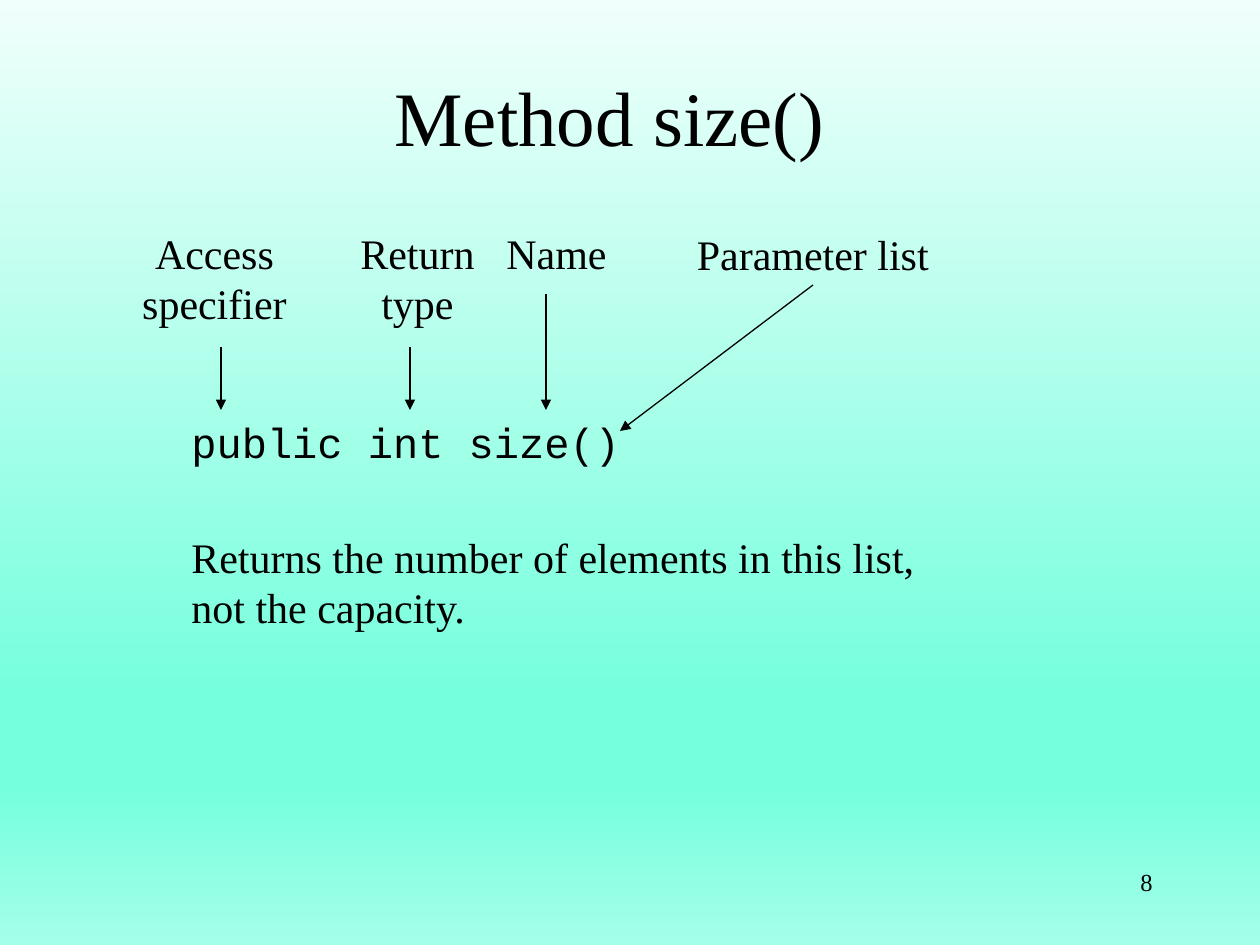
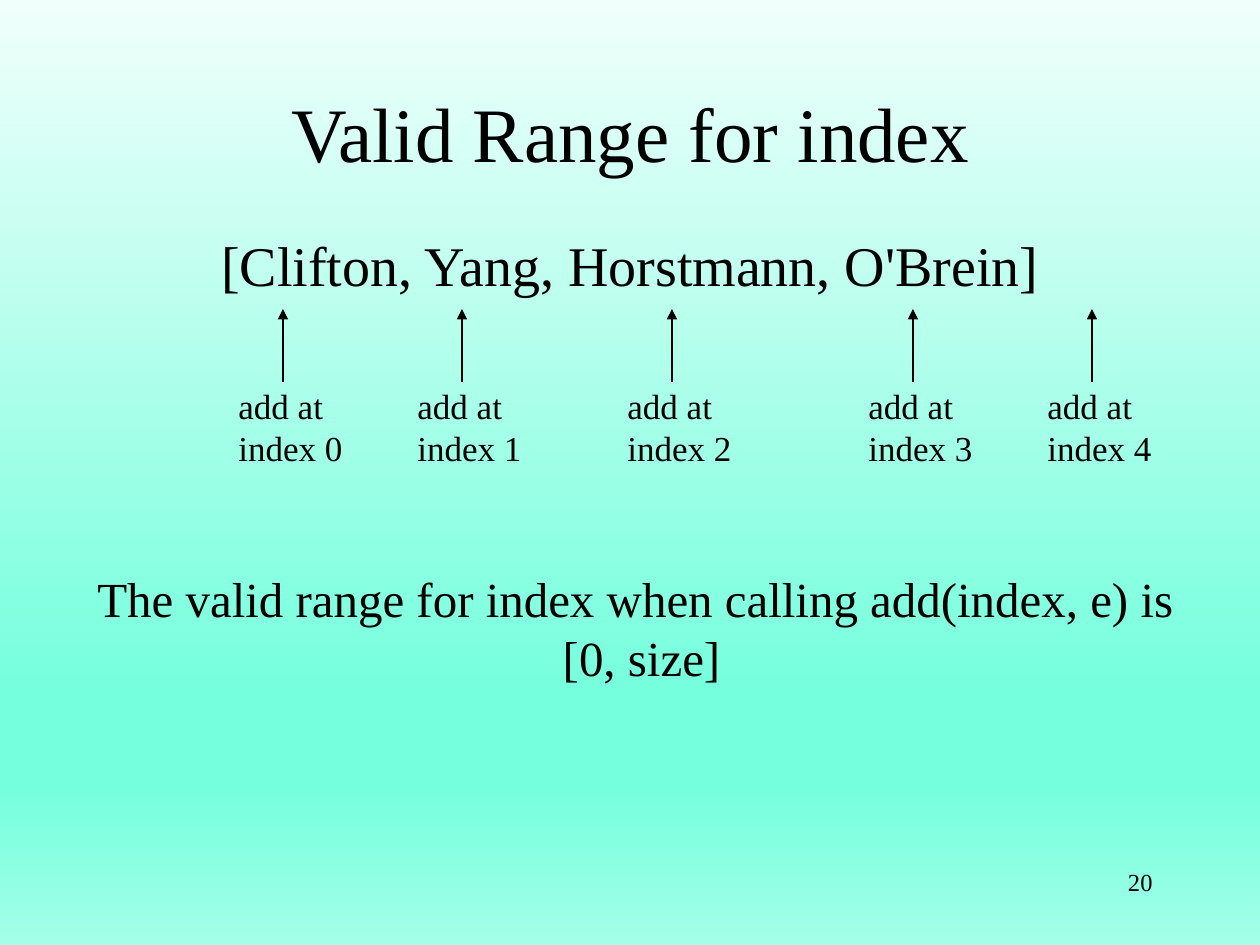
"""Build two slides on list methods: size() and the valid index range for add."""
import copy

from lxml import etree
from pptx import Presentation
from pptx import util as u
from pptx.dml.color import RGBColor
from pptx.enum import shapes, text
from pptx.oxml.ns import qn

PX = 914400 / 126
BLACK = RGBColor(0x00, 0x00, 0x00)
MINT_PALE = RGBColor(0xF0, 0xFF, 0xFB)
MINT = RGBColor(0x75, 0xFF, 0xDD)
MINT_LIGHT = RGBColor(0xA3, 0xFF, 0xE8)
GRADIENT = [(0, MINT_PALE), (0.74, MINT), (0.83, MINT), (1, MINT_LIGHT)]
SERIF, MONO = "Times New Roman", "Courier New"
LEFT, CENTER, RIGHT = text.PP_ALIGN.LEFT, text.PP_ALIGN.CENTER, text.PP_ALIGN.RIGHT
NUMBER_BOX = (903, 861, 262, 63)


def add_text(s, box, lines, size, align=LEFT, wrap=True, anchor=text.MSO_ANCHOR.TOP):
    sp = s.shapes.add_textbox(*(u.Emu(round(v * PX)) for v in box))
    tf = sp.text_frame
    fit = text.MSO_AUTO_SIZE.NONE if wrap else text.MSO_AUTO_SIZE.SHAPE_TO_FIT_TEXT
    for name, value in {"word_wrap": wrap, "auto_size": fit, "vertical_anchor": anchor}.items():
        setattr(tf, name, value)
    tf.text = "\n".join(lines)
    for p in tf.paragraphs:
        p.alignment = align
        for r in p.runs:
            for name, value in {"name": SERIF, "size": u.Pt(size)}.items():
                setattr(r.font, name, value)
            r.font.color.rgb = BLACK
    return sp


def add_arrow(s, *ends):
    ln = s.shapes.add_connector(
        shapes.MSO_CONNECTOR.STRAIGHT, *(u.Emu(round(v * PX)) for v in ends))
    ln.line.color.rgb = BLACK
    ln.line.width = u.Pt(0.75)
    etree.SubElement(ln.line._get_or_add_ln(), qn("a:tailEnd"), type="triangle")
    etree.SubElement(ln._element.spPr, qn("a:effectLst"))
    return ln


prs = Presentation()
prs.slide_width, prs.slide_height = u.Emu(round(1260 * PX)), u.Emu(round(945 * PX))

fill = prs.slide_master.background.fill
fill.gradient()
fill.gradient_angle = 270
stops = prs.slide_master._element.xpath(".//p:bg//a:gsLst")[0]
for _ in range(len(GRADIENT) - len(stops)):
    stops.append(copy.deepcopy(stops[0]))
for stop, (position, color) in zip(fill.gradient_stops, GRADIENT):
    stop.position = position
    stop.color.rgb = color

slides = []
for title, title_box, number in [
    ("Method size()", (53, 32, 1113, 168), "8"),
    ("Valid Range for index", (95, 53, 1071, 158), "20"),
]:
    s = prs.slides.add_slide(prs.slide_layouts[6])
    add_text(s, title_box, [title], 44, CENTER, anchor=text.MSO_ANCHOR.MIDDLE)
    add_text(s, NUMBER_BOX, [number], 14, RIGHT)
    slides.append(s)
size_slide, range_slide = slides

body = add_text(size_slide, (179, 410, 1040, 325), [
    "public int size()",
    "Returns the number of elements in this list,\vnot the capacity.",
], 24)
signature, description = body.text_frame.paragraphs
signature.runs[0].font.name = MONO
signature.space_before = u.Pt(4.8)
description.space_before = u.Pt(37)

for box, lines, align, arrow in [
    ((129, 221, 171, 115), ["Access", "specifier"], CENTER, (221, 347, 221, 410)),
    ((347, 221, 141, 115), ["Return", "type"], CENTER, (410, 347, 410, 410)),
    ((494, 221, 126, 63), ["Name"], LEFT, (546, 294, 546, 410)),
]:
    add_text(size_slide, box, lines, 24, align, wrap=False)
    add_arrow(size_slide, *arrow)
parameters = add_text(size_slide, (683, 222, 260, 63), ["Parameter list"], 24, CENTER, wrap=False)
add_arrow(size_slide, 813, 285, 620, 431).begin_connect(parameters, 2)

names = add_text(range_slide, (95, 224, 1071, 95), ["[Clifton, Yang, Horstmann, O'Brein]"], 32, CENTER)
names.text_frame.paragraphs[0].space_before = u.Pt(6.4)
for index, x in enumerate([283, 462, 672, 913, 1092]):
    add_text(range_slide, (x - 57, 378, 130, 97), ["add at", f"index {index}"], 20, wrap=False)
    add_arrow(range_slide, x, 382, x, 309)
add_text(range_slide, (79, 562, 1125, 131), [
    "The valid range for index when calling add(index, e) is ",
    "[0, size]",
], 28, CENTER, wrap=False)

prs.save("out.pptx")
